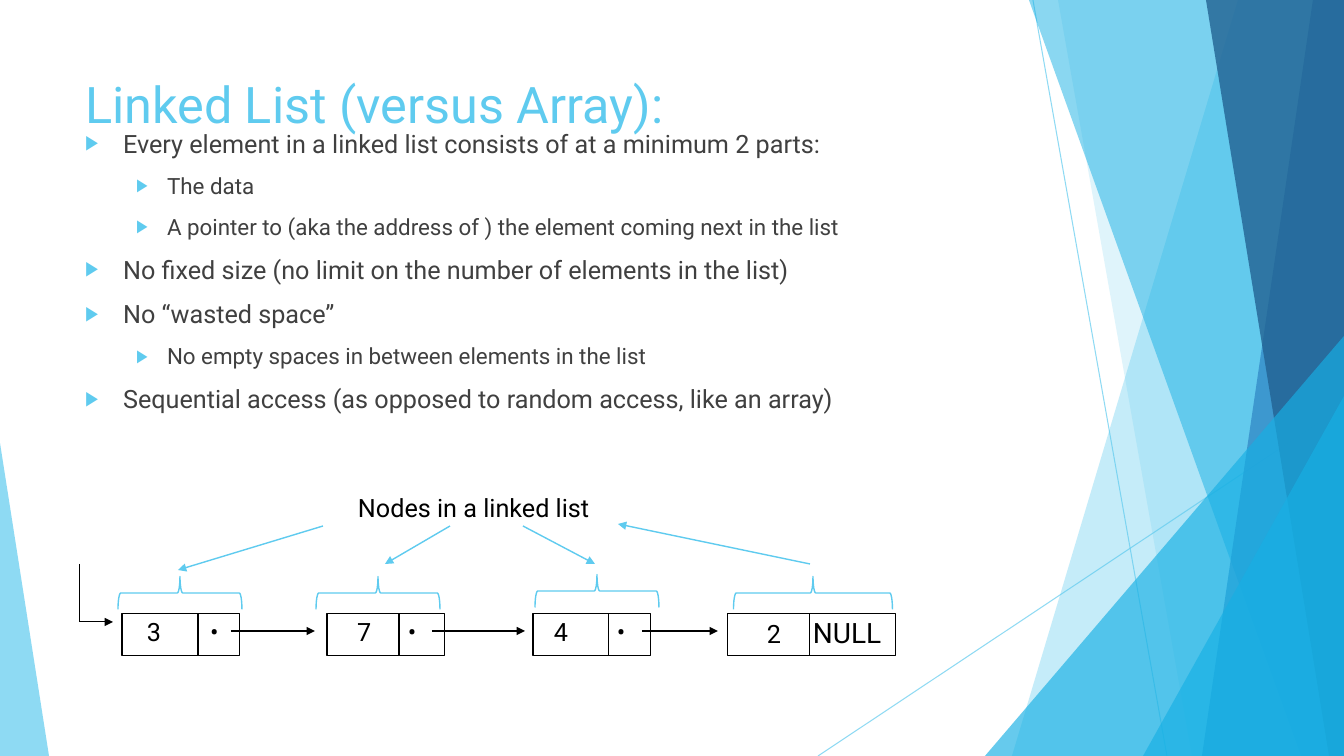
from lxml.etree import SubElement
from pptx import Presentation
from pptx.dml.color import RGBColor
from pptx.enum.shapes import MSO_CONNECTOR, MSO_SHAPE
from pptx.enum.text import MSO_ANCHOR, MSO_AUTO_SIZE, PP_ALIGN
from pptx.oxml.ns import qn
from pptx.util import Pt

PX = 914400 / 100.8
WIDE, HIGH = 1344, 756
FONT = "Roboto"
COLORS = {"sky": "5FCBEF", "cyan": "17B0E4", "blue": "2E83C3",
          "navy": "226292", "ink": "000000", "gray": "404040"}

TITLE = "Linked List (versus Array):"
BODY = [
    (0, "Every element in a linked list consists of at a minimum 2 parts:"),
    (1, "The data"),
    (1, "A pointer to (aka the address of ) the element coming next in the list"),
    (0, "No fixed size (no limit on the number of elements in the list)"),
    (0, "No “wasted space”"),
    (1, "No empty spaces in between elements in the list"),
    (0, "Sequential access (as opposed to random access, like an array)"),
]
LEVELS = [(18, 38, -38), (16, 82, -31)]  # size, margin, indent
CAPTION = "Nodes in a linked list"

# left, divider, right, value, value x, link, link x, link size
NODES = [
    (122, 198, 240, "3", 147, "•", 210, 18),
    (327, 399, 445, "7", 357, "•", 408, 18),
    (533, 609, 651, "4", 554, "•", 617, 18),
    (728, 810, 896, "2", 767, "NULL", 813, 20),
]
NODE_TOP, NODE_HIGH = 614, 42
LINKS = [(231, 315), (432, 525), (642, 718)]
LINK_Y = 631
BRACES = [(180, 593, 124), (378, 593, 124), (597, 591, 124), (813, 593, 159)]
BRACE_DEEP = 33
POINTERS = [(323, 526, 178, 570), (450, 526, 385, 564),
            (523, 526, 595, 564), (810, 564, 618, 524)]

# top x, bottom x, color, opacity; each reaches the right edge
BANDS = [(1238, 1012, "sky", 36), (1058, 1192, "sky", 20),
         (1029, 1301, "cyan", 50), (1313, 1202, "blue", 70),
         (1206, 1329, "navy", 80)]
# left, top, apex, color, opacity, width; each stands on the bottom edge
PEAKS = [(985, 336, 1, "cyan", 66, 359), (1143, 396, 1, "cyan", 66, 201),
         (0, 443, 0, "sky", 70, 49)]
RAYS = [(1033, 0, 1167, 756), (1344, 406, 818, 756)]


def emu(*lengths):
    return [round(length * PX) for length in lengths]


def rgb(name):
    return RGBColor.from_string(COLORS[name])


def fade(fill, percent):
    """Set the opacity of a solid fill inside the given element."""
    tint = next(fill.iter(qn("a:srgbClr")))
    SubElement(tint, qn("a:alpha"), val=str(percent * 1000))


def paint(shape, color, percent):
    shape.shadow.inherit = False
    shape.fill.solid()
    shape.fill.fore_color.rgb = rgb(color)
    shape.line.fill.background()
    fade(shape.element.spPr, percent)


def outline(shape, color, width):
    shape.shadow.inherit = False
    shape.fill.background()
    shape.line.color.rgb = rgb(color)
    shape.line.width = Pt(width)


def draw(shapes, ends, color="ink", width=0.75, arrow=False, percent=100):
    line = shapes.add_connector(MSO_CONNECTOR.STRAIGHT, *emu(*ends))
    line.line.color.rgb = rgb(color)
    line.line.width = Pt(width)
    props = line.element.spPr
    if percent < 100:
        fade(props, percent)
    if arrow:
        SubElement(props.find(qn("a:ln")), qn("a:tailEnd"), type="triangle")
    SubElement(props, qn("a:effectLst"))


def write(para, text, size, color):
    run = para.add_run()
    run.text = text
    run.font.size = Pt(size)
    run.font.name = FONT
    run.font.color.rgb = rgb(color)


def label(shapes, box, inset):
    frame = shapes.add_textbox(*emu(*box)).text_frame
    frame.word_wrap = True
    frame.margin_left = frame.margin_right = emu(inset)[0]
    return frame.paragraphs[0]


def place(holder, box):
    holder.left, holder.top, holder.width, holder.height = emu(*box)
    frame = holder.text_frame
    frame.auto_size = MSO_AUTO_SIZE.NONE
    frame.vertical_anchor = MSO_ANCHOR.TOP
    return frame


def bullet(para, margin, indent):
    props = para._p.get_or_add_pPr()
    left, hang = emu(margin, indent)
    props.set("marL", str(left))
    props.set("indent", str(hang))
    tint = SubElement(props, qn("a:buClr"))
    SubElement(tint, qn("a:srgbClr"), val=COLORS["sky"])
    SubElement(props, qn("a:buSzPct"), val="80000")
    SubElement(props, qn("a:buFont"), typeface=FONT)
    SubElement(props, qn("a:buChar"), char="▶")


def add_decor(shapes):
    for ray in RAYS:
        draw(shapes, ray, "sky", percent=70)
    for top, base, color, percent in BANDS:
        form = shapes.build_freeform(top, 0, scale=PX)
        form.add_line_segments([(WIDE, 0), (WIDE, HIGH), (base, HIGH)])
        paint(form.convert_to_shape(), color, percent)
    for left, top, apex, color, percent, width in PEAKS:
        peak = shapes.add_shape(MSO_SHAPE.ISOSCELES_TRIANGLE,
                                *emu(left, top, width, HIGH - top))
        peak.adjustments[0] = apex
        paint(peak, color, percent)


def add_text(shapes):
    head = place(shapes.title, (75, 68, 948, 96)).paragraphs[0]
    head.alignment = PP_ALIGN.LEFT
    write(head, TITLE, 36, "sky")
    frame = place(shapes.placeholders[1], (75, 123, 948, 503))
    for row, (level, text) in enumerate(BODY):
        para = frame.add_paragraph() if row else frame.paragraphs[0]
        size, margin, indent = LEVELS[level]
        para.level = level
        bullet(para, margin, indent)
        para.space_before = Pt(10 if row else 0)
        write(para, text, size, "gray")


def add_nodes(shapes):
    base = NODE_TOP + NODE_HIGH
    for left, split, right, value, start, link, stop, size in NODES:
        cell = shapes.add_shape(MSO_SHAPE.RECTANGLE,
                                *emu(left, NODE_TOP, right - left, NODE_HIGH))
        outline(cell, "ink", 0.75)
        draw(shapes, (split, NODE_TOP, split, base))
        para = label(shapes, (start, 611, right - start, 40), 0)
        tabs = SubElement(para._p.get_or_add_pPr(), qn("a:tabLst"))
        SubElement(tabs, qn("a:tab"), pos=str(emu(stop - start)[0]), algn="l")
        write(para, value + "\t", 18, "ink")
        write(para, link, size, "ink")
    for start, stop in LINKS:
        draw(shapes, (start, LINK_Y, stop, LINK_Y), arrow=True)
    draw(shapes, (80, 564, 80, 622))
    draw(shapes, (80, 622, 113, 622), arrow=True)


def add_callouts(shapes):
    write(label(shapes, (348, 487, 258, 40), 10), CAPTION, 18, "ink")
    for mid, level, span in BRACES:
        box = (mid - BRACE_DEEP / 2, level - span / 2, BRACE_DEEP, span)
        brace = shapes.add_shape(MSO_SHAPE.RIGHT_BRACE, *emu(*box))
        brace.rotation = 270
        outline(brace, "sky", 1)
    for ends in POINTERS:
        draw(shapes, ends, "sky", 1, arrow=True)


def main():
    deck = Presentation()
    deck.slide_width, deck.slide_height = emu(WIDE, HIGH)
    shapes = deck.slides.add_slide(deck.slide_layouts[1]).shapes
    add_decor(shapes)
    add_text(shapes)
    add_nodes(shapes)
    add_callouts(shapes)
    deck.save("out.pptx")


if __name__ == "__main__":
    main()
